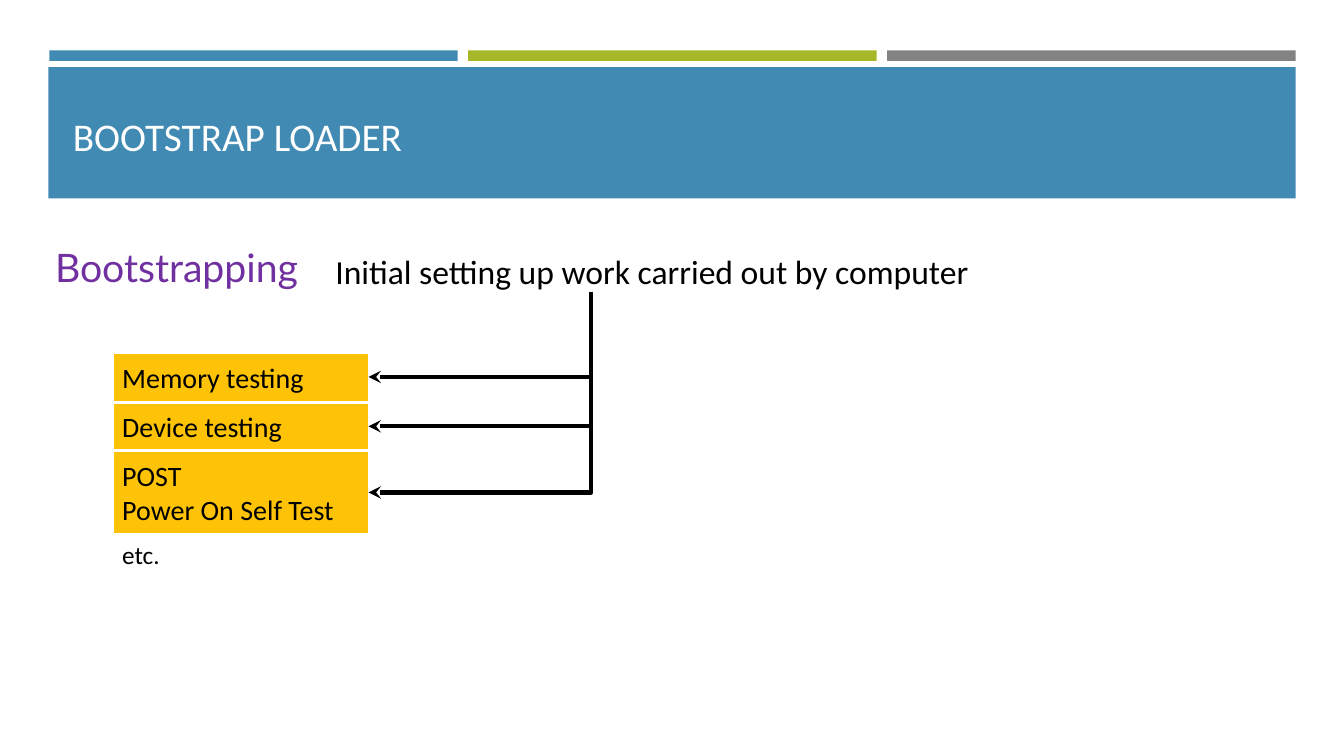
from lxml import etree
from pptx import Presentation
from pptx.dml.color import RGBColor
from pptx.enum.shapes import MSO_CONNECTOR, MSO_SHAPE
from pptx.enum.text import MSO_ANCHOR, MSO_AUTO_SIZE, PP_ALIGN
from pptx.oxml.ns import qn
from pptx.util import Pt

PX = 9525
RECTANGLE = MSO_SHAPE.RECTANGLE
ELBOW = MSO_CONNECTOR.ELBOW
TOP, MIDDLE = MSO_ANCHOR.TOP, MSO_ANCHOR.MIDDLE
FIT, FIXED = MSO_AUTO_SIZE.SHAPE_TO_FIT_TEXT, MSO_AUTO_SIZE.NONE
LEFT = PP_ALIGN.LEFT
COLORS = {
    "blue": "418AB3",
    "green": "A6B727",
    "gray": "838383",
    "yellow": "FEC306",
    "purple": "7030A0",
    "white": "FFFFFF",
    "black": "000000",
}


def color(name):
    """Return the named palette colour."""
    return RGBColor.from_string(COLORS[name])


def px(*lengths):
    """Convert pixel lengths to EMU."""
    return [length * PX for length in lengths]


def add_rectangle(slide, box, fill=None, line_width=0):
    """Add a rectangle with an optional fill and white outline."""
    shape = slide.shapes.add_shape(RECTANGLE, *px(*box))
    shape.shadow.inherit = False
    if fill:
        shape.fill.solid()
        shape.fill.fore_color.rgb = color(fill)
    else:
        shape.fill.background()
    if line_width:
        shape.line.color.rgb = color("white")
        shape.line.width = Pt(line_width)
    else:
        shape.line.fill.background()
    return shape


def set_text(shape, lines, size, ink="black", font="Calibri", **frame_format):
    """Write left-aligned paragraphs into a shape."""
    frame = shape.text_frame
    settings = {"word_wrap": True, "vertical_anchor": TOP, "auto_size": FIXED}
    for name, value in {**settings, **frame_format}.items():
        setattr(frame, name, value)
    frame.text = "\n".join(lines)
    for paragraph in frame.paragraphs:
        paragraph.alignment = LEFT
        for name, value in {"name": font, "size": Pt(size)}.items():
            setattr(paragraph.font, name, value)
        paragraph.font.color.rgb = color(ink)


def add_text(slide, box, text, size, **text_format):
    """Add a text box with one paragraph."""
    shape = slide.shapes.add_textbox(*px(*box))
    set_text(shape, [text], size, **text_format)


def add_branch(slide, start, end):
    """Add an elbow arrow that runs down first and then left."""
    connector = slide.shapes.add_connector(ELBOW, *px(*start, *end))
    connector.line.color.rgb = color("black")
    connector.line.width = Pt(3)
    properties = connector.element.spPr
    guides = properties.find(qn("a:prstGeom")).find(qn("a:avLst"))
    etree.SubElement(guides, qn("a:gd"), name="adj1", fmla="val 0")
    outline = properties.find(qn("a:ln"))
    etree.SubElement(outline, qn("a:round"))
    etree.SubElement(outline, qn("a:tailEnd"), type="stealth")
    etree.SubElement(properties, qn("a:effectLst"))


def add_header(slide):
    """Add the three accent bars and the title band."""
    for index, fill in enumerate(("blue", "green", "gray")):
        add_rectangle(slide, (47 + 399 * index, 48, 389, 10), fill)
    add_rectangle(slide, (46, 64, 1188, 125), "blue")
    add_text(slide, (60, 77, 1158, 104), "BOOTSTRAP LOADER", 28,
             ink="white", vertical_anchor=MIDDLE)


def add_tests(slide):
    """Stack the test boxes and branch an arrow to each."""
    left, top, width = 107, 336, 245
    tests = (
        (["Memory testing"], 47),
        (["Device testing"], 46),
        (["POST", "Power On Self Test"], 80),
    )
    for lines, height in tests:
        shape = add_rectangle(slide, (left, top, width, height), "yellow", 2)
        set_text(shape, lines, 20, vertical_anchor=MIDDLE)
        add_branch(slide, (563, 278), (left + width - 1, top + height // 2))
        top += height
    add_text(slide, (left, top, 56, 38), "etc.", 18, word_wrap=False, auto_size=FIT)


def main():
    """Build and save the bootstrap loader slide."""
    presentation = Presentation()
    presentation.slide_width, presentation.slide_height = px(1280, 720)
    slide = presentation.slides.add_slide(presentation.slide_layouts[6])
    add_header(slide)
    term = add_rectangle(slide, (43, 227, 266, 55), line_width=0.75)
    set_text(term, ["Bootstrapping"], 28, ink="purple", font="Lato", auto_size=FIT)
    add_text(slide, (310, 234, 864, 48),
             "Initial setting up work carried out by computer", 24, auto_size=FIT)
    add_tests(slide)
    presentation.save("out.pptx")


if __name__ == "__main__":
    main()
